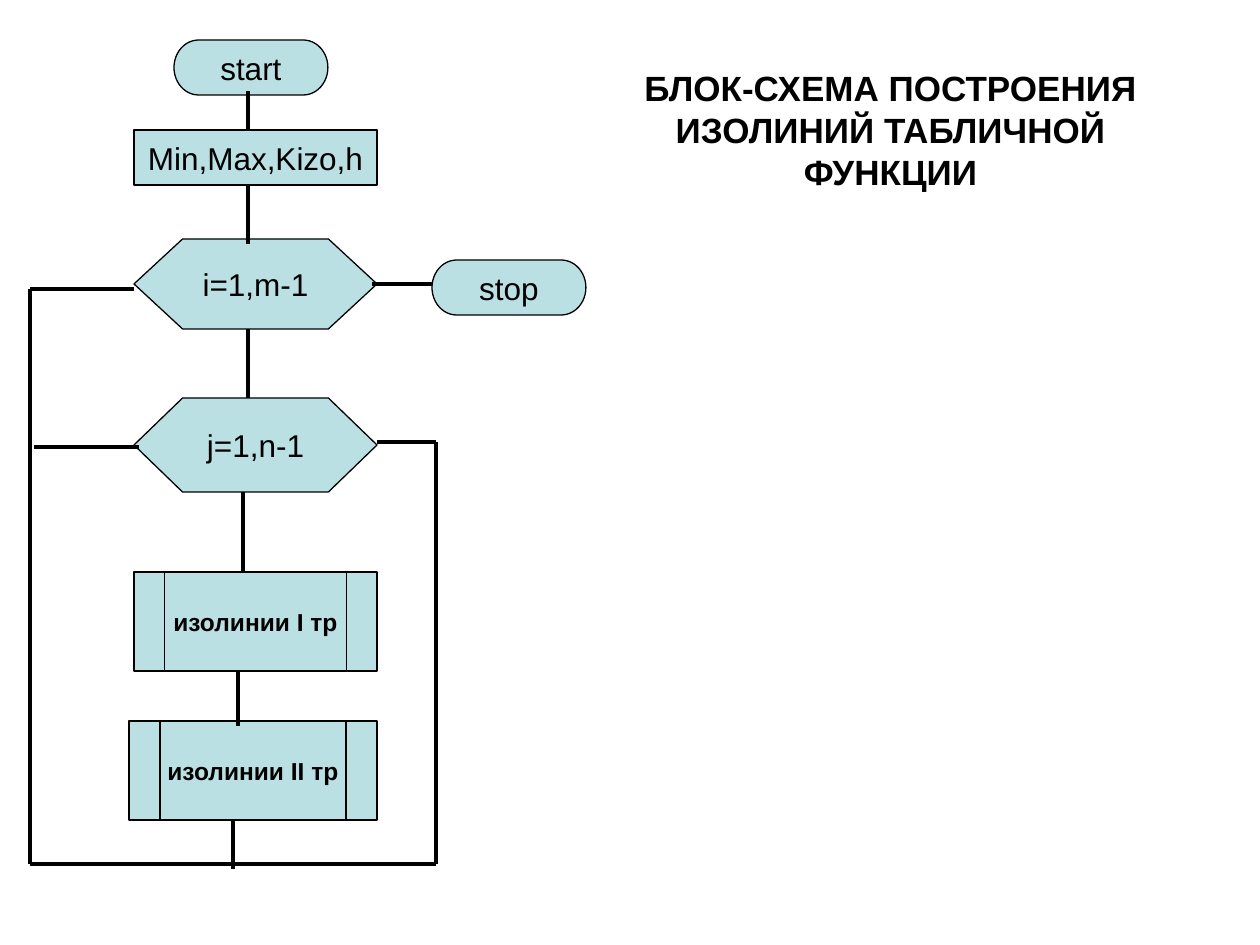
import dataclasses

import pptx
import pptx.dml.color
import pptx.enum.shapes
import pptx.enum.text
import pptx.oxml
import pptx.oxml.ns
import pptx.util

PX_PER_INCH = 126
SHAPE = pptx.enum.shapes.MSO_SHAPE
ANCHOR = pptx.enum.text.MSO_ANCHOR


@dataclasses.dataclass(frozen=True)
class Theme:
    font: str = "Arial"
    ink: str = "000000"
    fill: str = "BBE0E3"
    background: str = "FFFFFF"
    title_size: int = 20
    label_size: int = 18
    routine_size: int = 14
    outline: float = 0.75
    flow_line: float = 2.25


THEME = Theme()

# kind, left, top, width, height, label
STEPS = [
    (SHAPE.FLOWCHART_TERMINATOR, 174, 40, 154, 55, "start"),
    (SHAPE.FLOWCHART_PROCESS, 134, 130, 243, 55, "Min,Max,Kizo,h"),
    (SHAPE.FLOWCHART_PREPARATION, 134, 239, 243, 90, "i=1,m-1"),
    (SHAPE.FLOWCHART_PREPARATION, 134, 398, 243, 94, "j=1,n-1"),
    (SHAPE.FLOWCHART_TERMINATOR, 432, 260, 154, 55, "stop"),
]
ROUTINES = [
    (SHAPE.FLOWCHART_PREDEFINED_PROCESS, 134, 572, 243, 99, "изолинии I тр"),
    (SHAPE.FLOWCHART_PREDEFINED_PROCESS, 129, 721, 248, 99, "изолинии II тр"),
]

# x, top, bottom
DOWN_LINES = [
    (248, 91, 130),
    (248, 185, 244),
    (248, 329, 398),
    (243, 492, 572),
    (238, 671, 726),
    (233, 820, 869),
    (30, 289, 864),
    (436, 442, 864),
]
# y, start, end
ACROSS_LINES = [
    (284, 372, 432),
    (289, 134, 30),
    (447, 139, 34),
    (442, 377, 436),
    (864, 436, 233),
    (864, 233, 30),
]


def px(n):
    return pptx.util.Emu(round(n * 914400 / PX_PER_INCH))


def rgb(value):
    return pptx.dml.color.RGBColor.from_string(value)


def write(tf, text, size, bold, wrap, anchor):
    tf.word_wrap = wrap
    tf.vertical_anchor = anchor
    p = tf.paragraphs[0]
    p.alignment = pptx.enum.text.PP_ALIGN.CENTER
    r = p.add_run()
    r.text = text
    r.font.name = THEME.font
    r.font.size = pptx.util.Pt(size)
    r.font.bold = bold
    r.font.color.rgb = rgb(THEME.ink)
    return p


def add_block(s, kind, left, top, width, height, label, size, bold=False):
    sp = s.shapes.add_shape(kind, px(left), px(top), px(width), px(height))
    sp.shadow.inherit = False
    sp.fill.solid()
    sp.fill.fore_color.rgb = rgb(THEME.fill)
    sp.line.color.rgb = rgb(THEME.ink)
    sp.line.width = pptx.util.Pt(THEME.outline)
    write(sp.text_frame, label, size, bold, False, ANCHOR.MIDDLE)


def add_line(s, x1, y1, x2, y2):
    line = s.shapes.add_connector(
        pptx.enum.shapes.MSO_CONNECTOR.STRAIGHT, px(x1), px(y1), px(x2), px(y2))
    line.line.color.rgb = rgb(THEME.ink)
    line.line.width = pptx.util.Pt(THEME.flow_line)
    sp_pr = line._element.spPr
    sp_pr.append(pptx.oxml.parse_xml(
        "<a:effectLst %s/>" % pptx.oxml.ns.nsdecls("a")))


def add_title(s, left, top, width, height, text):
    box = s.shapes.add_textbox(px(left), px(top), px(width), px(height))
    p = write(box.text_frame, text, THEME.title_size, True, True, ANCHOR.TOP)
    p.space_before = pptx.util.Pt(12.5)
    box.text_frame.auto_size = pptx.enum.text.MSO_AUTO_SIZE.SHAPE_TO_FIT_TEXT


def main():
    prs = pptx.Presentation()
    prs.slide_width = pptx.util.Inches(10)
    prs.slide_height = pptx.util.Inches(7.5)
    s = prs.slides.add_slide(prs.slide_layouts[6])
    s.background.fill.solid()
    s.background.fill.fore_color.rgb = rgb(THEME.background)

    for step in STEPS:
        add_block(s, *step, THEME.label_size)
    for routine in ROUTINES:
        add_block(s, *routine, THEME.routine_size, bold=True)
    for x, top, bottom in DOWN_LINES:
        add_line(s, x, top, x, bottom)
    for y, start, end in ACROSS_LINES:
        add_line(s, start, y, end, y)
    add_title(s, 605, 60, 571, 139,
              "БЛОК-СХЕМА ПОСТРОЕНИЯ ИЗОЛИНИЙ ТАБЛИЧНОЙ ФУНКЦИИ")
    prs.save("out.pptx")


if __name__ == "__main__":
    main()
